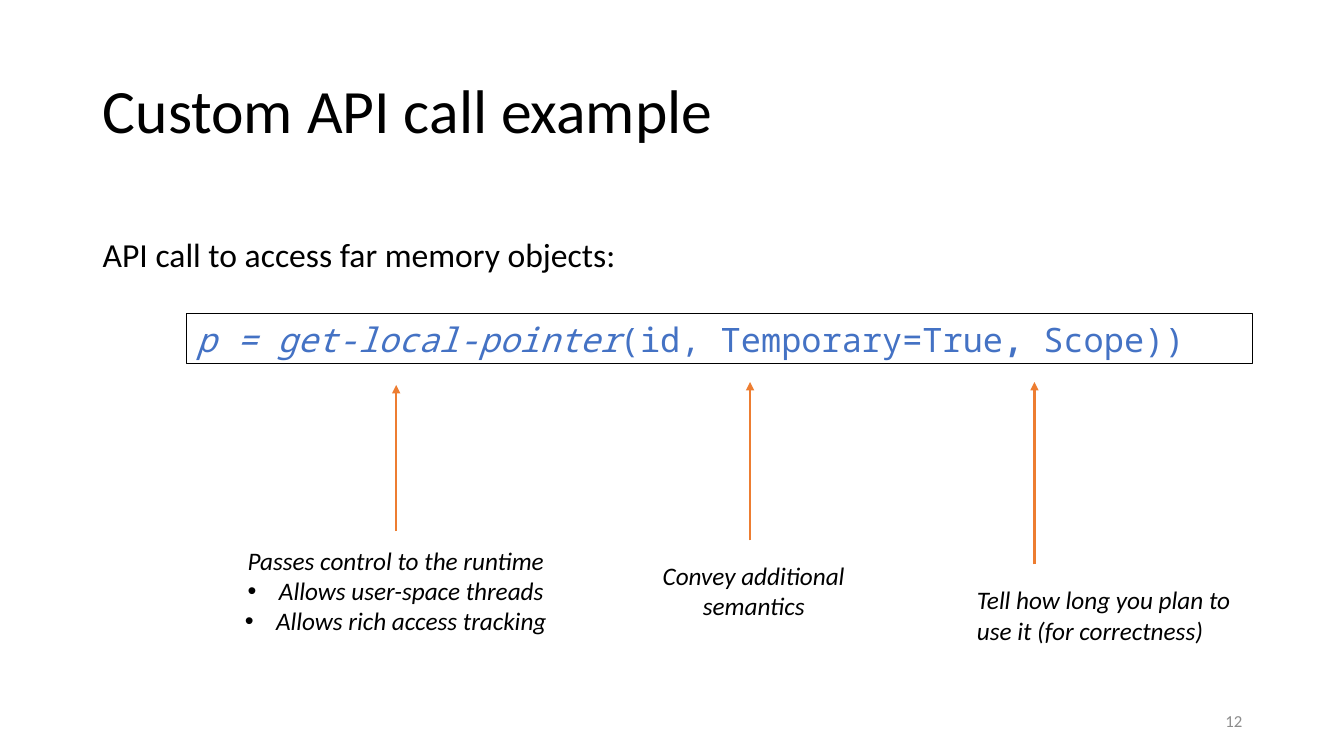
from lxml.etree import SubElement
from pptx import Presentation
from pptx.dml.color import RGBColor
from pptx.enum.shapes import MSO_CONNECTOR, MSO_SHAPE
from pptx.enum.text import MSO_ANCHOR, MSO_AUTO_SIZE, PP_ALIGN
from pptx.oxml.ns import qn
from pptx.util import Inches, Pt

COLORS = {"text": "000000", "code": "4472C4", "arrow": "ED7D31", "number": "8C8C8C"}


class Deck:
    font = "Calibri"
    mono = "Noto Sans Mono"

    def __init__(self):
        self.prs = Presentation()
        self.prs.slide_width = Inches(13.33)
        self.prs.slide_height = Inches(7.5)
        self.slide = self.prs.slides.add_slide(self.prs.slide_layouts[5])

    def color(self, key):
        return RGBColor.from_string(COLORS[key])

    def style(self, font, size, color="text", face=None, italic=False, bold=False):
        font.name = face or self.font
        font.size = Pt(size)
        font.color.rgb = self.color(color)
        font.italic = italic
        font.bold = bold

    def title(self, text, box):
        shape = self.slide.shapes.title
        shape.left, shape.top, shape.width, shape.height = map(Inches, box)
        frame = shape.text_frame
        frame.text = text
        frame.auto_size = MSO_AUTO_SIZE.NONE
        frame.vertical_anchor = MSO_ANCHOR.MIDDLE
        para = frame.paragraphs[0]
        para.alignment = PP_ALIGN.LEFT
        para.line_spacing = 0.9
        self.style(para.runs[0].font, 44)

    def text(self, lines, box, size, align=PP_ALIGN.LEFT, color="text",
             italic=False, anchor=MSO_ANCHOR.TOP):
        """Place a text box; every line after the first is a bullet."""
        frame = self.slide.shapes.add_textbox(*map(Inches, box)).text_frame
        frame.word_wrap = True
        frame.vertical_anchor = anchor
        frame.text = "\n".join(lines)
        for i, para in enumerate(frame.paragraphs):
            para.alignment = align
            if i:
                self.bullet(para)
            self.style(para.runs[0].font, size, color, italic=italic)

    def bullet(self, para):
        props = para._p.get_or_add_pPr()
        indent = Inches(0.31)
        props.set("marL", str(indent))
        props.set("indent", str(-indent))
        SubElement(props, qn("a:buFont")).set("typeface", "Arial")
        SubElement(props, qn("a:buChar")).set("char", "•")

    def code(self, parts, box):
        """Place a framed line of code made of (text, italic, bold) parts."""
        shape = self.slide.shapes.add_shape(MSO_SHAPE.RECTANGLE, *map(Inches, box))
        shape.shadow.inherit = False
        shape.fill.background()
        shape.line.color.rgb = self.color("text")
        shape.line.width = Pt(0.75)
        frame = shape.text_frame
        frame.word_wrap = True
        frame.vertical_anchor = MSO_ANCHOR.TOP
        para = frame.paragraphs[0]
        para.alignment = PP_ALIGN.LEFT
        for text, italic, bold in parts:
            run = para.add_run()
            run.text = text
            self.style(run.font, 24, "code", self.mono, italic, bold)

    def arrow(self, x, start, end):
        line = self.slide.shapes.add_connector(
            MSO_CONNECTOR.STRAIGHT, Inches(x), Inches(start), Inches(x), Inches(end))
        line.line.color.rgb = self.color("arrow")
        line.line.width = Pt(1.5)
        SubElement(line.line._get_or_add_ln(), qn("a:tailEnd")).set("type", "triangle")
        SubElement(line._element.spPr, qn("a:effectLst"))


def main():
    deck = Deck()

    # Heading and lead-in
    deck.title("Custom API call example", (0.92, 0.4, 11.5, 1.45))
    deck.text(["API call to access far memory objects:"], (0.92, 2.27, 5.59, 0.5), 24)

    # The call itself
    deck.code([("p = get-local-pointer", True, False),
               ("(id, Temporary=True", False, False),
               (", ", False, True),
               ("Scope))", False, False)], (1.85, 3.11, 10.57, 0.5))

    # Notes, each with an arrow up to its part of the call
    notes = [
        (["Passes control to the runtime", "Allows user-space threads",
          "Allows rich access tracking"],
         (2.05, 5.36, 3.75, 1.31), PP_ALIGN.CENTER, (3.93, 5.27, 3.82)),
        (["Convey additional semantics"],
         (6.38, 5.51, 2.19, 0.71), PP_ALIGN.CENTER, (7.44, 5.36, 3.79)),
        (["Tell how long you plan to use it (for correctness)"],
         (9.59, 5.75, 2.83, 0.71), PP_ALIGN.LEFT, (10.26, 5.6, 3.79)),
    ]
    for lines, box, align, arrow in notes:
        deck.text(lines, box, 18, align, italic=True)
        deck.arrow(*arrow)

    # Slide number
    deck.text(["12"], (9.42, 6.95, 3, 0.4), 12, PP_ALIGN.RIGHT, "number",
              anchor=MSO_ANCHOR.MIDDLE)

    deck.prs.save("out.pptx")


if __name__ == "__main__":
    main()
